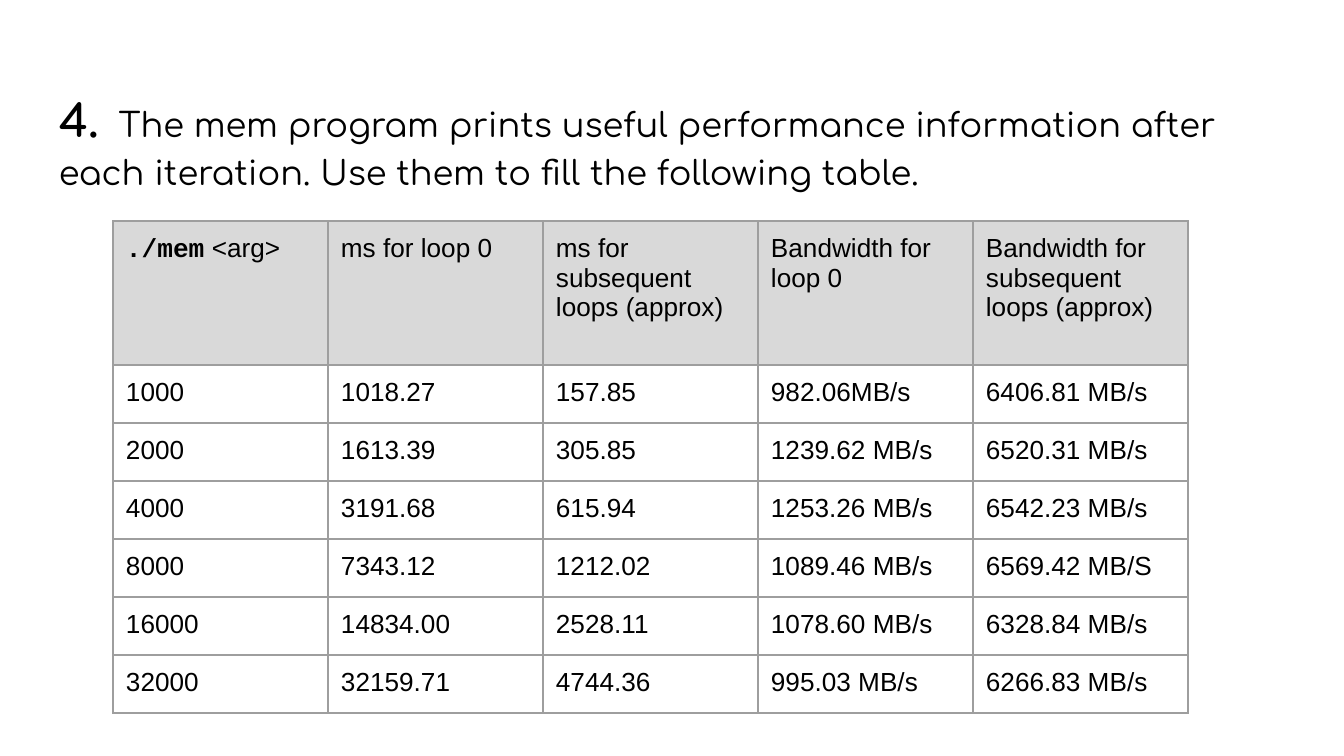
"""Build a slide with a question and a table of memory timings."""
import pptx
import pptx.util
import pptx.dml.color
import pptx.enum.text
import pptx.oxml.ns
import lxml.etree

TITLE = [
    ("4.", "Comfortaa", 24, True),
    ("  The mem program prints useful performance information after each "
     "iteration. Use them to fill the following table.", "Comfortaa", 18, False),
]
HEAD = [
    [("./mem", "Courier New", 14, True), (" <arg>", "Arial", 14, False)],
    "ms for loop 0",
    "ms for subsequent loops (approx)",
    "Bandwidth for loop 0",
    "Bandwidth for subsequent loops (approx)",
]
ROWS = [
    ("1000", "1018.27", "157.85", "982.06MB/s", "6406.81 MB/s"),
    ("2000", "1613.39", "305.85", "1239.62 MB/s", "6520.31 MB/s"),
    ("4000", "3191.68", "615.94", "1253.26 MB/s", "6542.23 MB/s"),
    ("8000", "7343.12", "1212.02", "1089.46 MB/s", "6569.42 MB/S"),
    ("16000", "14834.00", "2528.11", "1078.60 MB/s", "6328.84 MB/s"),
    ("32000", "32159.71", "4744.36", "995.03 MB/s", "6266.83 MB/s"),
]
COLORS = {"text": "000000", "head": "D9D9D9", "line": "9E9E9E"}
SCALE = 914400 / 134.4
LEFT, TOP, COL_W, HEAD_H, ROW_H, PAD = 113, 221, 215, 144, 58, 13


def px(n):
    return pptx.util.Emu(round(n * SCALE))


def rgb(name):
    return pptx.dml.color.RGBColor.from_string(COLORS[name])


def write(para, parts):
    for text, face, size, bold in parts:
        run = para.add_run()
        run.text = text
        run.font.name = face
        run.font.size = pptx.util.Pt(size)
        run.font.bold = bold
        run.font.color.rgb = rgb("text")


def pad(box):
    box.margin_left = box.margin_right = px(PAD)
    box.margin_top = box.margin_bottom = px(PAD)


def border(cell):
    props = cell._tc.get_or_add_tcPr()
    qn = pptx.oxml.ns.qn
    for spot, side in enumerate(("lnL", "lnR", "lnT", "lnB")):
        line = lxml.etree.Element(qn("a:" + side), w=str(pptx.util.Pt(0.75)))
        fill = lxml.etree.SubElement(line, qn("a:solidFill"))
        lxml.etree.SubElement(fill, qn("a:srgbClr"), val=COLORS["line"])
        props.insert(spot, line)


deck = pptx.Presentation()
deck.slide_width, deck.slide_height = px(1344), px(756)
slide = deck.slides.add_slide(deck.slide_layouts[5])

title = slide.shapes.title
title.left, title.top, title.width, title.height = map(px, (46, 66, 1252, 145))
frame = title.text_frame
pad(frame)
frame.word_wrap = True
frame.auto_size = pptx.enum.text.MSO_AUTO_SIZE.NONE
frame.vertical_anchor = pptx.enum.text.MSO_ANCHOR.MIDDLE
para = frame.paragraphs[0]
para.alignment = pptx.enum.text.PP_ALIGN.LEFT
para.line_spacing = 1.15
write(para, TITLE)

grid = [HEAD] + ROWS
table = slide.shapes.add_table(
    len(grid), len(HEAD), px(LEFT), px(TOP),
    px(COL_W * len(HEAD)), px(HEAD_H + ROW_H * len(ROWS))).table
table.horz_banding = False
table.first_row = False
for col in table.columns:
    col.width = px(COL_W)
for r, row in enumerate(grid):
    table.rows[r].height = px(ROW_H if r else HEAD_H)
    for c, item in enumerate(row):
        cell = table.cell(r, c)
        parts = [(item, "Arial", 14, False)] if isinstance(item, str) else item
        write(cell.text_frame.paragraphs[0], parts)
        pad(cell)
        if r:
            cell.fill.background()
        else:
            cell.fill.solid()
            cell.fill.fore_color.rgb = rgb("head")
        border(cell)

deck.save("out.pptx")
